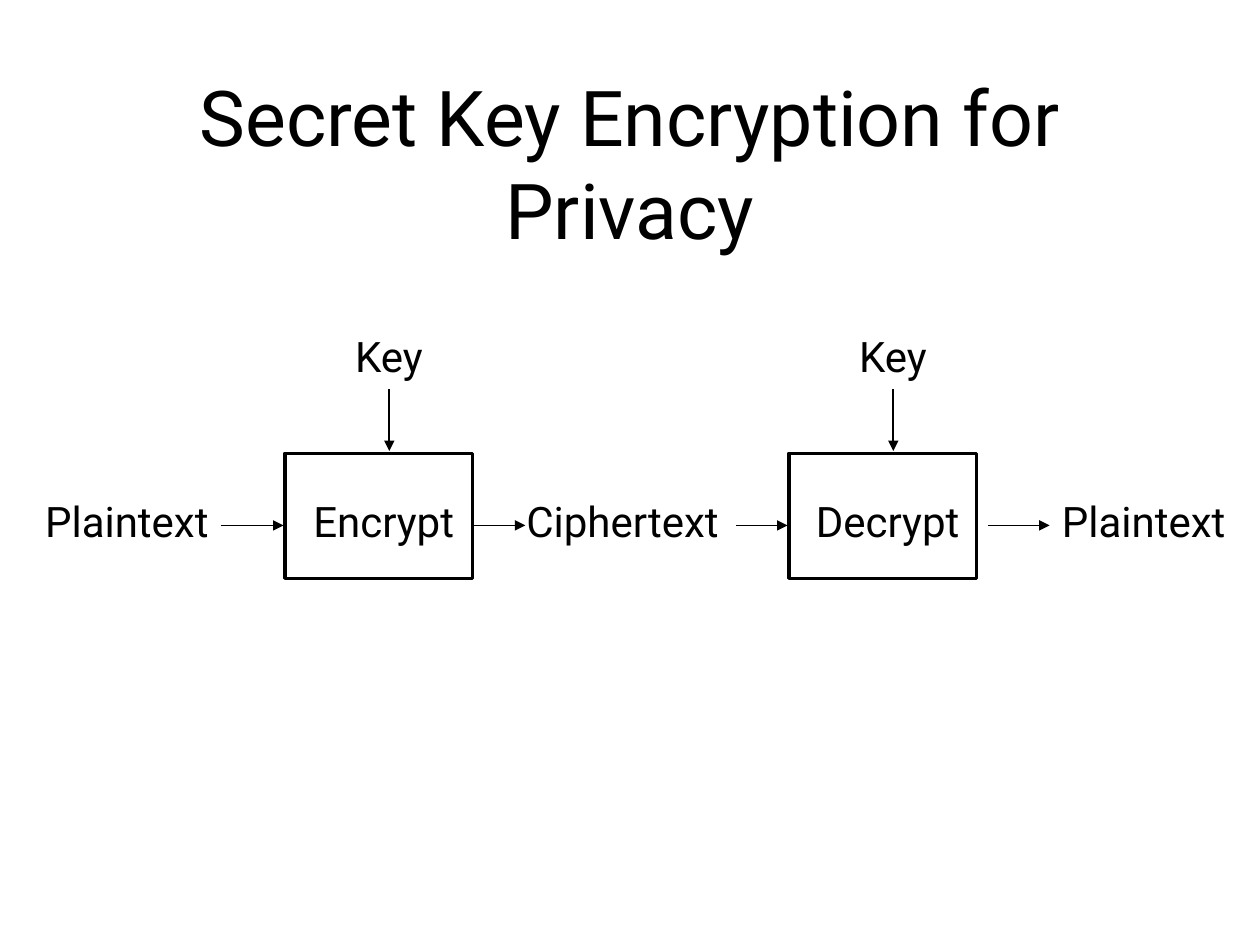
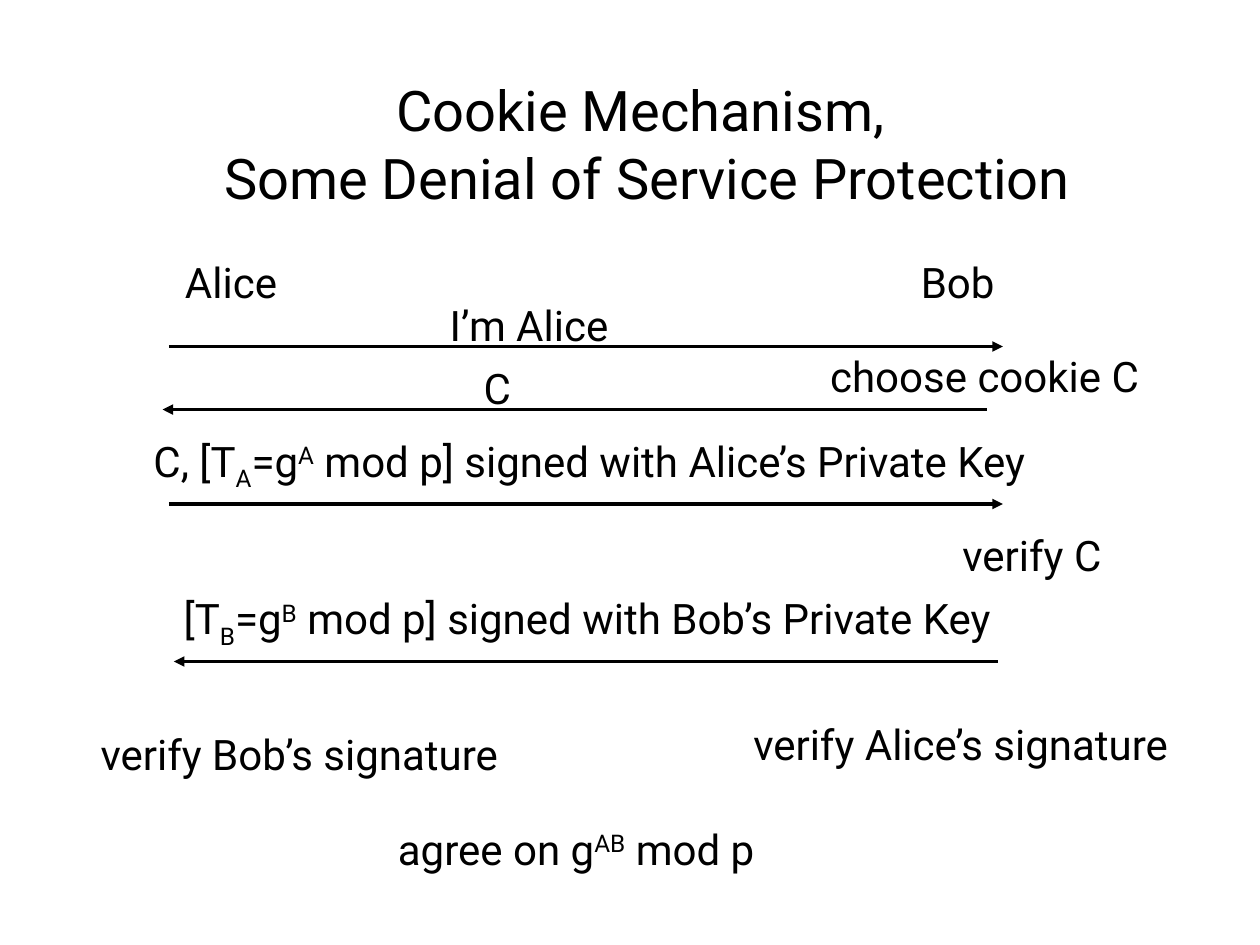
import pptx
import pptx.dml.color
import pptx.enum.shapes
import pptx.enum.text
import pptx.oxml
import pptx.oxml.ns
import pptx.util
from pptx.util import Inches

BLACK = pptx.dml.color.RGBColor(0x00, 0x00, 0x00)
WHITE = pptx.dml.color.RGBColor(0xFF, 0xFF, 0xFF)
FONT = "Roboto"
LABEL_SIZE = 24
LABEL_HEIGHT = 0.51
LINE_SPACING = 1.01
TITLE_ONLY = 5
SUBSCRIPT = -25000
SUPERSCRIPT = 30000


class Deck:
    def __init__(self):
        self.presentation = pptx.Presentation()
        self.presentation.slide_width = Inches(10)
        self.presentation.slide_height = Inches(7.5)
        self.slide = None

    def style(self, paragraph, size):
        paragraph.line_spacing = LINE_SPACING
        paragraph.font.name = FONT
        paragraph.font.size = pptx.util.Pt(size)
        paragraph.font.color.rgb = BLACK

    def add_slide(self, title, left, top, width, height, size):
        layout = self.presentation.slide_layouts[TITLE_ONLY]
        self.slide = self.presentation.slides.add_slide(layout)
        shape = self.slide.shapes.title
        shape.left, shape.top = Inches(left), Inches(top)
        shape.width, shape.height = Inches(width), Inches(height)
        frame = shape.text_frame
        frame.text = title
        frame.auto_size = pptx.enum.text.MSO_AUTO_SIZE.NONE
        frame.vertical_anchor = pptx.enum.text.MSO_ANCHOR.MIDDLE
        paragraph = frame.paragraphs[0]
        paragraph.alignment = pptx.enum.text.PP_ALIGN.CENTER
        self.style(paragraph, size)

    def label(self, left, top, width, *parts, height=LABEL_HEIGHT, centred=False):
        """Add one line of text; a part is a string or a (string, baseline) pair."""
        shape = self.slide.shapes.add_textbox(
            Inches(left), Inches(top), Inches(width), Inches(height))
        frame = shape.text_frame
        frame.word_wrap = False
        frame.auto_size = pptx.enum.text.MSO_AUTO_SIZE.SHAPE_TO_FIT_TEXT
        paragraph = frame.paragraphs[0]
        if centred:
            paragraph.alignment = pptx.enum.text.PP_ALIGN.CENTER
        for part in parts:
            text, baseline = (part, 0) if isinstance(part, str) else part
            run = paragraph.add_run()
            run.text = text
            if baseline:
                run._r.get_or_add_rPr().set("baseline", str(baseline))
        self.style(paragraph, LABEL_SIZE)

    def box(self, left, top, width, height):
        shape = self.slide.shapes.add_shape(
            pptx.enum.shapes.MSO_SHAPE.RECTANGLE,
            Inches(left), Inches(top), Inches(width), Inches(height))
        shape.shadow.inherit = False
        shape.fill.solid()
        shape.fill.fore_color.rgb = WHITE
        shape.line.color.rgb = BLACK
        shape.line.width = pptx.util.Pt(2)

    def arrow(self, start, end, weight):
        connector = self.slide.shapes.add_connector(
            pptx.enum.shapes.MSO_CONNECTOR.STRAIGHT,
            Inches(start[0]), Inches(start[1]), Inches(end[0]), Inches(end[1]))
        connector.line.color.rgb = BLACK
        connector.line.width = pptx.util.Pt(weight)
        tail = pptx.oxml.parse_xml(
            f'<a:tailEnd {pptx.oxml.ns.nsdecls("a")} type="triangle"/>')
        connector.line._get_or_add_ln().append(tail)
        connector._element.spPr.append(pptx.oxml.parse_xml(
            f'<a:effectLst {pptx.oxml.ns.nsdecls("a")}/>'))


def add_encryption_slide(deck):
    deck.add_slide("Secret Key Encryption for Privacy", 0.75, 0.48, 8.5, 1.61, 44)
    stages = [(2.26, "Encrypt", 2.35, 1.39), (6.26, "Decrypt", 6.33, 1.43)]
    for box_left, step, step_left, step_width in stages:
        deck.box(box_left, 3.6, 1.49, 0.99)
        deck.label(step_left, 3.88, step_width, step, centred=True)
        deck.label(box_left + 0.46, 2.57, 0.77, "Key")
        key_x = box_left + 0.83
        deck.arrow((key_x, 3.09), (key_x, 3.58), 1)

    messages = [(0.26, 1.57, "Plaintext"), (4.08, 1.84, "Ciphertext"),
                (8.33, 1.57, "Plaintext")]
    for left, width, message in messages:
        deck.label(left, 3.88, width, message)

    flow_y = 4.17
    for start, end in [(1.75, 2.25), (3.76, 4.17), (5.84, 6.25), (7.84, 8.33)]:
        deck.arrow((start, flow_y), (end, flow_y), 1)


def add_cookie_slide(deck):
    deck.add_slide("Cookie Mechanism, \vSome Denial of Service Protection",
                   0.58, 0, 9.12, 2.27, 32)
    for start, end, y in [(1.34, 7.96, 2.75), (7.83, 1.29, 3.25),
                          (1.34, 7.96, 4), (7.92, 1.38, 5.25)]:
        deck.arrow((start, y), (end, y), 2)

    labels = [
        (1.37, 1.98, 0.94, "Alice"),
        (7.21, 1.98, 0.83, "Bob"),
        (3.47, 2.32, 1.51, "I’m Alice"),
        (6.49, 2.73, 2.72, "choose cookie C"),
        (3.74, 2.82, 0.41, "C"),
        (7.54, 4.15, 1.37, "verify C"),
        (5.88, 5.65, 3.69, "verify Alice’s signature"),
        (0.7, 5.73, 3.58, "verify Bob’s signature"),
        (3.06, 6.48, 3.24, "agree on g", ("AB", SUPERSCRIPT), " mod p"),
    ]
    for label in labels:
        deck.label(*label)

    signed_messages = [(1.12, 3.4, 7.5, "C, [T", "A", "Alice"),
                       (1.36, 4.65, 7, "[T", "B", "Bob")]
    for left, top, width, opening, exponent, signer in signed_messages:
        deck.label(left, top, width, opening, (exponent, SUBSCRIPT), "=g",
                   (exponent, SUPERSCRIPT),
                   f" mod p] signed with {signer}’s Private Key", height=0.56)


def main():
    deck = Deck()
    add_encryption_slide(deck)
    add_cookie_slide(deck)
    deck.presentation.save("out.pptx")


if __name__ == "__main__":
    main()
